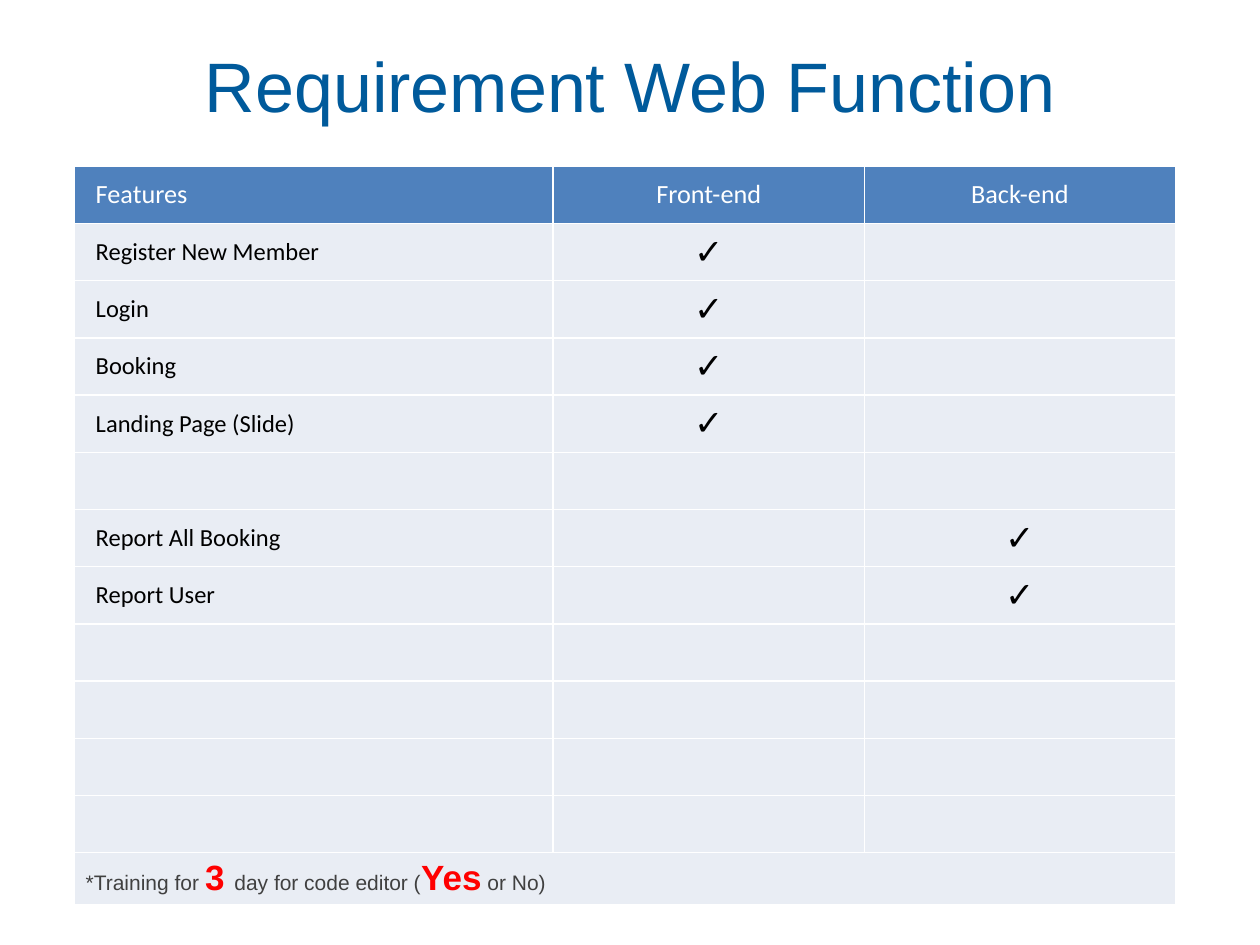
from lxml.etree import SubElement
from pptx import Presentation
from pptx.dml.color import RGBColor
from pptx.enum.text import MSO_ANCHOR as Anchor, PP_ALIGN as Align
from pptx.oxml.ns import qn
from pptx.util import Inches, Pt

TITLE_BLUE = RGBColor(0x00, 0x5A, 0x9B)
HEADER_BLUE = RGBColor(0x4F, 0x81, 0xBD)
ROW_FILL = RGBColor(0xE9, 0xED, 0xF4)
WHITE = RGBColor(0xFF, 0xFF, 0xFF)
BLACK = RGBColor(0x00, 0x00, 0x00)
GRAY = RGBColor(0x40, 0x40, 0x40)
RED = RGBColor(0xFF, 0x00, 0x00)

TITLE = "Requirement Web Function"
HEADERS = ("Features", "Front-end", "Back-end")
CHECK = "✓"
BLANK = ("", "", "")
FEATURES = [
    ("Register New Member", CHECK, ""),
    ("Login", CHECK, ""),
    ("Booking", CHECK, ""),
    ("Landing Page (Slide)", CHECK, ""),
    BLANK,
    ("Report All Booking", "", CHECK),
    ("Report User", "", CHECK),
] + [BLANK] * 4
TRAINING_NOTE = [
    ("*Training for ", False),
    ("3 ", True),
    ("day for code editor (", False),
    ("Yes", True),
    (" or No)", False),
]
COLUMN_WIDTHS = (3.8, 2.47, 2.47)
LEFT, TOP = 0.59, 1.32
GRID_HEIGHT, NOTE_HEIGHT = 5.45, 0.4


def style_font(font, name, size, color, bold=False):
    font.name = name
    font.size = Pt(size)
    font.color.rgb = color
    font.bold = bold


def style_cell(cell, fill, left_margin=0.09):
    properties = cell._tc.get_or_add_tcPr()
    for side in ("lnL", "lnR", "lnT", "lnB"):
        line = SubElement(properties, qn(f"a:{side}"), w=str(Pt(1)))
        solid = SubElement(line, qn("a:solidFill"))
        SubElement(solid, qn("a:srgbClr"), val=str(WHITE))
    cell.fill.solid()
    cell.fill.fore_color.rgb = fill
    cell.vertical_anchor = Anchor.MIDDLE
    cell.margin_left = Inches(left_margin)
    cell.margin_right = Inches(0.09)
    cell.margin_top = cell.margin_bottom = Inches(0.04)


def add_title(slide):
    box = slide.shapes.add_textbox(0, Inches(0.22), Inches(10), Inches(0.9))
    frame = box.text_frame
    frame.word_wrap = True
    frame.vertical_anchor = Anchor.MIDDLE
    paragraph = frame.paragraphs[0]
    paragraph.text = TITLE
    paragraph.alignment = Align.CENTER
    style_font(paragraph.font, "Arial", 40, TITLE_BLUE)


def add_features_table(slide):
    rows = [HEADERS] + FEATURES
    table = slide.shapes.add_table(
        len(rows) + 1, len(HEADERS), Inches(LEFT), Inches(TOP),
        Inches(sum(COLUMN_WIDTHS)), Inches(GRID_HEIGHT + NOTE_HEIGHT),
    ).table
    for column, width in zip(table.columns, COLUMN_WIDTHS):
        column.width = Inches(width)

    for row_index, row in enumerate(rows):
        table.rows[row_index].height = Inches(GRID_HEIGHT / len(rows))
        is_header = row_index == 0
        for column_index, text in enumerate(row):
            is_feature = column_index == 0
            cell = table.cell(row_index, column_index)
            style_cell(cell, HEADER_BLUE if is_header else ROW_FILL,
                       0.17 if is_feature else 0.09)
            paragraph = cell.text_frame.paragraphs[0]
            paragraph.text = text
            paragraph.alignment = Align.LEFT if is_feature else Align.CENTER
            if is_header:
                style_font(paragraph.font, "Calibri", 15, WHITE)
            elif is_feature:
                style_font(paragraph.font, "Calibri", 14, BLACK)
            else:
                style_font(paragraph.font, "Arial", 20, BLACK)

    note_row = len(rows)
    table.rows[note_row].height = Inches(NOTE_HEIGHT)
    note = table.cell(note_row, 0)
    note.merge(table.cell(note_row, len(HEADERS) - 1))
    style_cell(note, ROW_FILL)
    paragraph = note.text_frame.paragraphs[0]
    for text, highlighted in TRAINING_NOTE:
        run = paragraph.add_run()
        run.text = text
        style_font(run.font, "Arial", 20 if highlighted else 12,
                   RED if highlighted else GRAY, highlighted)


def main():
    presentation = Presentation()
    presentation.slide_width = Inches(10)
    presentation.slide_height = Inches(7.5)
    slide = presentation.slides.add_slide(presentation.slide_layouts[6])
    add_title(slide)
    add_features_table(slide)
    presentation.save("out.pptx")


if __name__ == "__main__":
    main()
